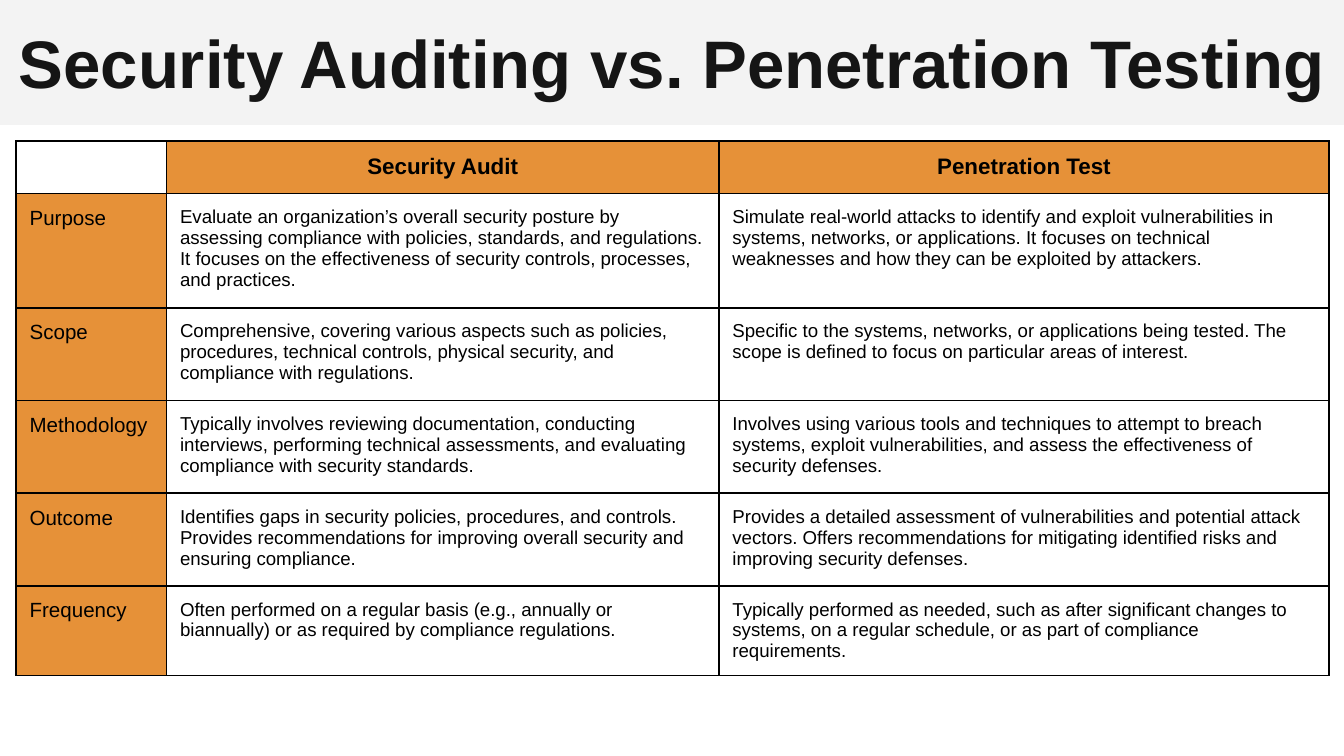
"""Build a slide comparing security audits with penetration tests."""
import dataclasses
import typing

import lxml.etree
import pptx
import pptx.dml.color
import pptx.enum.shapes
import pptx.enum.text
import pptx.oxml.ns
import pptx.util

Inches = pptx.util.Inches
Pt = pptx.util.Pt
Align = pptx.enum.text.PP_ALIGN


@dataclasses.dataclass(frozen=True)
class Theme:
    """Hold the colours, type sizes and spacing."""

    font: str = "Arial"
    band: str = "F3F3F3"
    accent: str = "E69138"
    paper: str = "FFFFFF"
    title_ink: str = "151515"
    ink: str = "000000"
    title_size: int = 36
    header_size: int = 12
    label_size: int = 11
    body_size: int = 10
    border: float = 1
    inset: float = 0.1


class TextStyle(typing.NamedTuple):
    """Describe how a run looks."""

    size: int
    color: str
    bold: bool = False
    align: Align = Align.LEFT


class Comparison(typing.NamedTuple):
    """Describe one table row."""

    aspect: str
    audit: str
    test: str
    height: float


THEME = Theme()
WIDTH = 10
HEIGHT = WIDTH * 9 / 16
TITLE = TextStyle(THEME.title_size, THEME.title_ink, True, Align.CENTER)
HEADER = TextStyle(THEME.header_size, THEME.ink, True, Align.CENTER)
LABEL = TextStyle(THEME.label_size, THEME.ink)
BODY = TextStyle(THEME.body_size, THEME.ink)
COLUMN_WIDTHS = (1.12, 4.11, 4.54)
TABLE_LEFT, TABLE_TOP = 0.12, 1.05

ROWS = (
    Comparison("", "Security Audit", "Penetration Test", 0.39),
    Comparison(
        "Purpose",
        "Evaluate an organization’s overall security posture by assessing compliance with policies, "
        "standards, and regulations. It focuses on the effectiveness of security controls, processes, "
        "and practices.",
        "Simulate real-world attacks to identify and exploit vulnerabilities in systems, networks, or "
        "applications. It focuses on technical weaknesses and how they can be exploited by attackers.",
        0.85,
    ),
    Comparison(
        "Scope",
        "Comprehensive, covering various aspects such as policies, procedures, technical controls, "
        "physical security, and compliance with regulations.",
        "Specific to the systems, networks, or applications being tested. The scope is defined to focus "
        "on particular areas of interest.",
        0.69,
    ),
    Comparison(
        "Methodology",
        "Typically involves reviewing documentation, conducting interviews, performing technical "
        "assessments, and evaluating compliance with security standards.",
        "Involves using various tools and techniques to attempt to breach systems, exploit "
        "vulnerabilities, and assess the effectiveness of security defenses.",
        0.69,
    ),
    Comparison(
        "Outcome",
        "Identifies gaps in security policies, procedures, and controls. Provides recommendations for "
        "improving overall security and ensuring compliance.",
        "Provides a detailed assessment of vulnerabilities and potential attack vectors. Offers "
        "recommendations for mitigating identified risks and improving security defenses.",
        0.69,
    ),
    Comparison(
        "Frequency",
        "Often performed on a regular basis (e.g., annually or biannually) or as required by compliance "
        "regulations.",
        "Typically performed as needed, such as after significant changes to systems, on a regular "
        "schedule, or as part of compliance requirements.",
        0.66,
    ),
)


def rgb(value: str) -> pptx.dml.color.RGBColor:
    """Turn a hexadecimal string into a colour."""
    return pptx.dml.color.RGBColor.from_string(value)


def write(text_frame, text: str, style: TextStyle) -> None:
    """Write one styled run into the first paragraph."""
    paragraph = text_frame.paragraphs[0]
    paragraph.alignment = style.align
    run = paragraph.add_run()
    run.text = text
    run.font.name = THEME.font
    run.font.size = Pt(style.size)
    run.font.bold = style.bold
    run.font.color.rgb = rgb(style.color)


def set_insets(holder, inset: float) -> None:
    """Give a cell or text frame the same inset on every side."""
    for side in ("left", "top", "right", "bottom"):
        setattr(holder, f"margin_{side}", Inches(inset))


def draw_borders(cell) -> None:
    """Outline all four sides of a cell."""
    properties = cell._tc.get_or_add_tcPr()
    qualified = pptx.oxml.ns.qn
    for index, side in enumerate(("lnL", "lnR", "lnT", "lnB")):
        line = lxml.etree.Element(qualified(f"a:{side}"), w=str(Pt(THEME.border)))
        fill = lxml.etree.SubElement(line, qualified("a:solidFill"))
        lxml.etree.SubElement(fill, qualified("a:srgbClr"), val=THEME.ink)
        properties.insert(index, line)


def draw_title(slide, text: str) -> None:
    """Draw the full-width title band."""
    shape = slide.shapes.add_shape(
        pptx.enum.shapes.MSO_SHAPE.RECTANGLE, 0, Inches(-0.01), Inches(WIDTH), Inches(0.94)
    )
    shape.shadow.inherit = False
    shape.fill.solid()
    shape.fill.fore_color.rgb = rgb(THEME.band)
    shape.line.fill.background()
    frame = shape.text_frame
    frame.word_wrap = True
    frame.vertical_anchor = pptx.enum.text.MSO_ANCHOR.MIDDLE
    set_insets(frame, THEME.inset)
    write(frame, text, TITLE)


def draw_cell(cell, text: str, row: int, column: int) -> None:
    """Fill, outline and write a cell according to its place in the grid."""
    style = HEADER if row == 0 else LABEL if column == 0 else BODY
    highlighted = bool(text) and (row == 0 or column == 0)
    cell.fill.solid()
    cell.fill.fore_color.rgb = rgb(THEME.accent if highlighted else THEME.paper)
    set_insets(cell, THEME.inset if text else 0)
    draw_borders(cell)
    if text:
        write(cell.text_frame, text, style)


def draw_table(slide, rows: typing.Sequence[Comparison]) -> None:
    """Draw the comparison table."""
    table = slide.shapes.add_table(
        len(rows), len(COLUMN_WIDTHS), Inches(TABLE_LEFT), Inches(TABLE_TOP),
        Inches(sum(COLUMN_WIDTHS)), Inches(sum(row.height for row in rows)),
    ).table
    for column, width in zip(table.columns, COLUMN_WIDTHS):
        column.width = Inches(width)
    for row_index, row in enumerate(rows):
        table.rows[row_index].height = Inches(row.height)
        for column_index, text in enumerate((row.aspect, row.audit, row.test)):
            draw_cell(table.cell(row_index, column_index), text, row_index, column_index)


def main() -> None:
    """Build and save the presentation."""
    presentation = pptx.Presentation()
    presentation.slide_width = Inches(WIDTH)
    presentation.slide_height = Inches(HEIGHT)
    slide = presentation.slides.add_slide(presentation.slide_layouts[6])
    draw_title(slide, "Security Auditing vs. Penetration Testing")
    draw_table(slide, ROWS)
    presentation.save("out.pptx")


if __name__ == "__main__":
    main()
